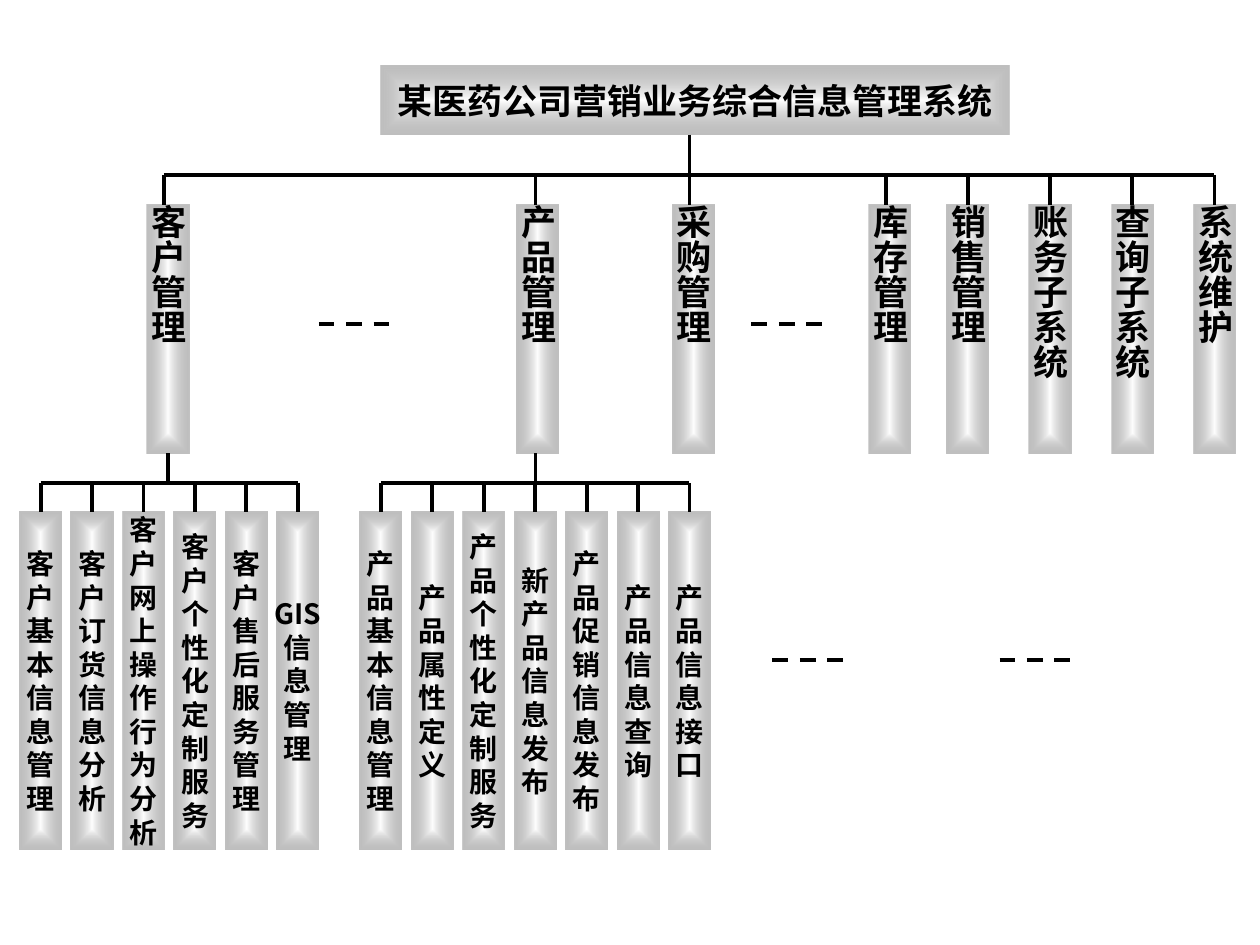
from dataclasses import dataclass

from pptx import Presentation, oxml, util as u
from pptx.dml.color import RGBColor
from pptx.enum import dml, shapes, text
from pptx.oxml import ns

BLACK = "000000"
BOX_W = 24
TITLE_BOTTOM = 77
MODULE_RAIL, MODULE_TOP, MODULE_H = 100, 117, 142
MODULE_BOTTOM = MODULE_TOP + MODULE_H
FUNCTION_RAIL, FUNCTION_TOP, FUNCTION_H = 276, 292.5, 193
FUNCTION_PITCH = 29.4
TRUNK_X = 394
ELLIPSIS_LENGTH = 41
GRADIENT = f"""<a:gradFill {ns.nsdecls('a')} rotWithShape="1"><a:gsLst>
<a:gs pos="0"><a:srgbClr val="FFFFFF"/></a:gs>
<a:gs pos="100000"><a:srgbClr val="808080"><a:alpha val="50000"/></a:srgbClr></a:gs>
</a:gsLst><a:path path="shape">
<a:fillToRect l="50000" t="50000" r="50000" b="50000"/></a:path></a:gradFill>"""


@dataclass(frozen=True)
class Module:
    name: str
    centre: float
    drop: float


@dataclass(frozen=True)
class Family:
    first_drop: float
    stem: float
    functions: tuple[str, ...]


@dataclass(frozen=True)
class Ellipsis:
    left: float
    y: float


MODULES = [
    Module("客户管理", 96, 93.6),
    Module("产品管理", 307.4, 306),
    Module("采购管理", 396, TRUNK_X),
    Module("库存管理", 508.3, 506.2),
] + [
    Module(name, 553 + 47 * i, 553 + 47 * i)
    for i, name in enumerate(("销售管理", "账务子系统", "查询子系统", "系统维护"))
]
FAMILIES = [
    Family(23.2, 96, ("客户基本信息管理", "客户订货信息分析", "客户网上操作行为分析",
                      "客户个性化定制服务", "客户售后服务管理", "GIS信息管理")),
    Family(217.6, 306, ("产品基本信息管理", "产品属性定义", "产品个性化定制服务",
                        "新产品信息发布", "产品促销信息发布", "产品信息查询", "产品信息接口")),
]
ELLIPSES = [Ellipsis(429.4, 185), Ellipsis(182.2, 185),
            Ellipsis(441.4, 377.3), Ellipsis(571.2, 377.3)]


def rgb(value: str) -> RGBColor:
    return RGBColor.from_string(value)


def add_box(slide, left: float, top: float, width: float, height: float):
    box = slide.shapes.add_shape(shapes.MSO_SHAPE.RECTANGLE,
                                 u.Pt(left), u.Pt(top), u.Pt(width), u.Pt(height))
    box.shadow.inherit = False
    box.line.fill.background()
    box._element.spPr.find(ns.qn("a:prstGeom")).addnext(oxml.parse_xml(GRADIENT))
    return box


def write(box, lines: list[str], *, size: float, font: str = "DejaVu Sans",
          vertical: bool = False, inset: bool = False) -> None:
    frame = box.text_frame
    frame.word_wrap = vertical
    frame.vertical_anchor = text.MSO_ANCHOR.TOP if vertical else text.MSO_ANCHOR.MIDDLE
    if not inset:
        frame.margin_left = frame.margin_right = u.Pt(0)
        frame.margin_top = frame.margin_bottom = u.Pt(0)
    if vertical:
        frame.auto_size = text.MSO_AUTO_SIZE.SHAPE_TO_FIT_TEXT
        box._element.txBody.bodyPr.set("vert", "eaVert")
    frame.text = "\n".join(lines)
    for paragraph in frame.paragraphs:
        paragraph.alignment = text.PP_ALIGN.CENTER
        if vertical:
            paragraph._p.get_or_add_pPr().append(oxml.parse_xml(
                f'<a:spcBef {ns.nsdecls("a")}><a:spcPct val="50000"/></a:spcBef>'))
        for run in paragraph.runs:
            run.font.size = u.Pt(size)
            run.font.name = font
            run.font.bold = True
            run.font.color.rgb = rgb(BLACK)


def add_line(slide, x1: float, y1: float, x2: float, y2: float, dashed: bool = False):
    line = slide.shapes.add_connector(shapes.MSO_CONNECTOR.STRAIGHT,
                                      u.Pt(x1), u.Pt(y1), u.Pt(x2), u.Pt(y2))
    line.line.color.rgb = rgb(BLACK)
    line.line.width = u.Pt(2.25)
    if dashed:
        line.line.dash_style = dml.MSO_LINE.DASH
    line._element.spPr.append(oxml.parse_xml(f"<a:effectLst {ns.nsdecls('a')}/>"))
    return line


def draw_title(slide) -> None:
    title = add_box(slide, 217.5, 37.5, 359.5, TITLE_BOTTOM - 37.5)
    write(title, ["某医药公司营销业务综合信息管理系统"], size=20)


def draw_modules(slide) -> dict[float, object]:
    boxes = {}
    add_line(slide, MODULES[0].drop, MODULE_RAIL, MODULES[-1].drop, MODULE_RAIL)
    for module in MODULES:
        box = add_box(slide, module.centre - BOX_W / 2, MODULE_TOP, BOX_W, MODULE_H)
        write(box, [module.name], size=20, vertical=True)
        start = TITLE_BOTTOM if module.drop == TRUNK_X else MODULE_RAIL
        drop = add_line(slide, module.drop, start, module.drop, MODULE_TOP)
        if module.drop == module.centre:
            drop.end_connect(box, 0)
        boxes[module.centre] = box
    return boxes


def split_lines(name: str) -> list[str]:
    if name.startswith("GIS"):
        return ["GIS", *name[3:]]
    return list(name)


def draw_family(slide, family: Family, module_boxes: dict[float, object]) -> None:
    last_drop = family.first_drop + FUNCTION_PITCH * (len(family.functions) - 1)
    add_line(slide, family.first_drop, FUNCTION_RAIL, last_drop, FUNCTION_RAIL)
    stem = add_line(slide, family.stem, MODULE_BOTTOM, family.stem, FUNCTION_RAIL)
    if family.stem in module_boxes:
        stem.begin_connect(module_boxes[family.stem], 2)
    for i, name in enumerate(family.functions):
        x = family.first_drop + FUNCTION_PITCH * i
        box = add_box(slide, x - BOX_W / 2, FUNCTION_TOP, BOX_W, FUNCTION_H)
        font = "Noto Sans CJK SC" if name.startswith("GIS") else "DejaVu Sans"
        write(box, split_lines(name), size=16, font=font, inset=True)
        add_line(slide, x, FUNCTION_RAIL, x, FUNCTION_TOP).end_connect(box, 0)


def main() -> None:
    deck = Presentation()
    deck.slide_width, deck.slide_height = u.Pt(720), u.Pt(540)
    slide = deck.slides.add_slide(deck.slide_layouts[6])
    draw_title(slide)
    module_boxes = draw_modules(slide)
    for family in FAMILIES:
        draw_family(slide, family, module_boxes)
    for mark in ELLIPSES:
        add_line(slide, mark.left, mark.y, mark.left + ELLIPSIS_LENGTH, mark.y, dashed=True)
    deck.save("out.pptx")


if __name__ == "__main__":
    main()
